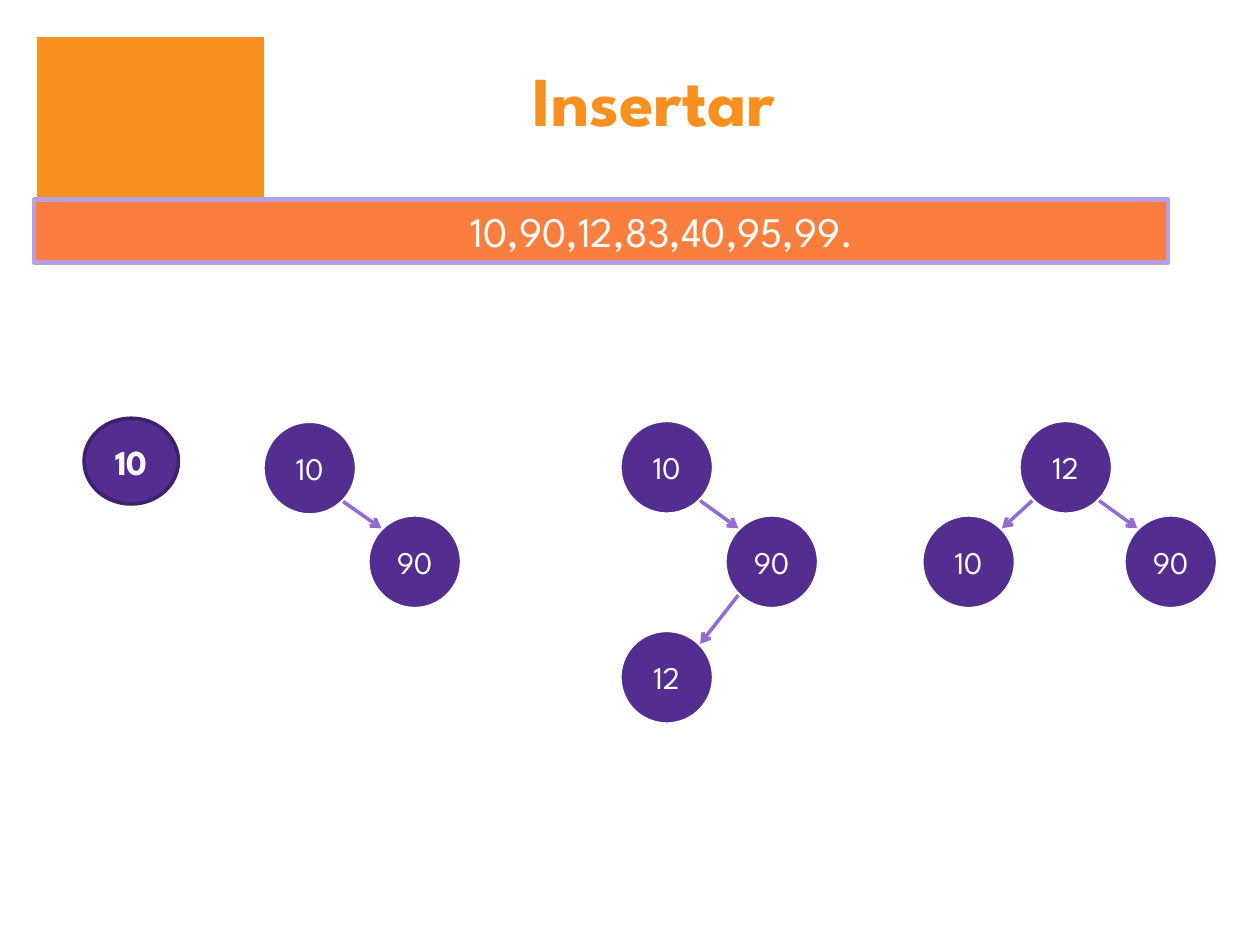
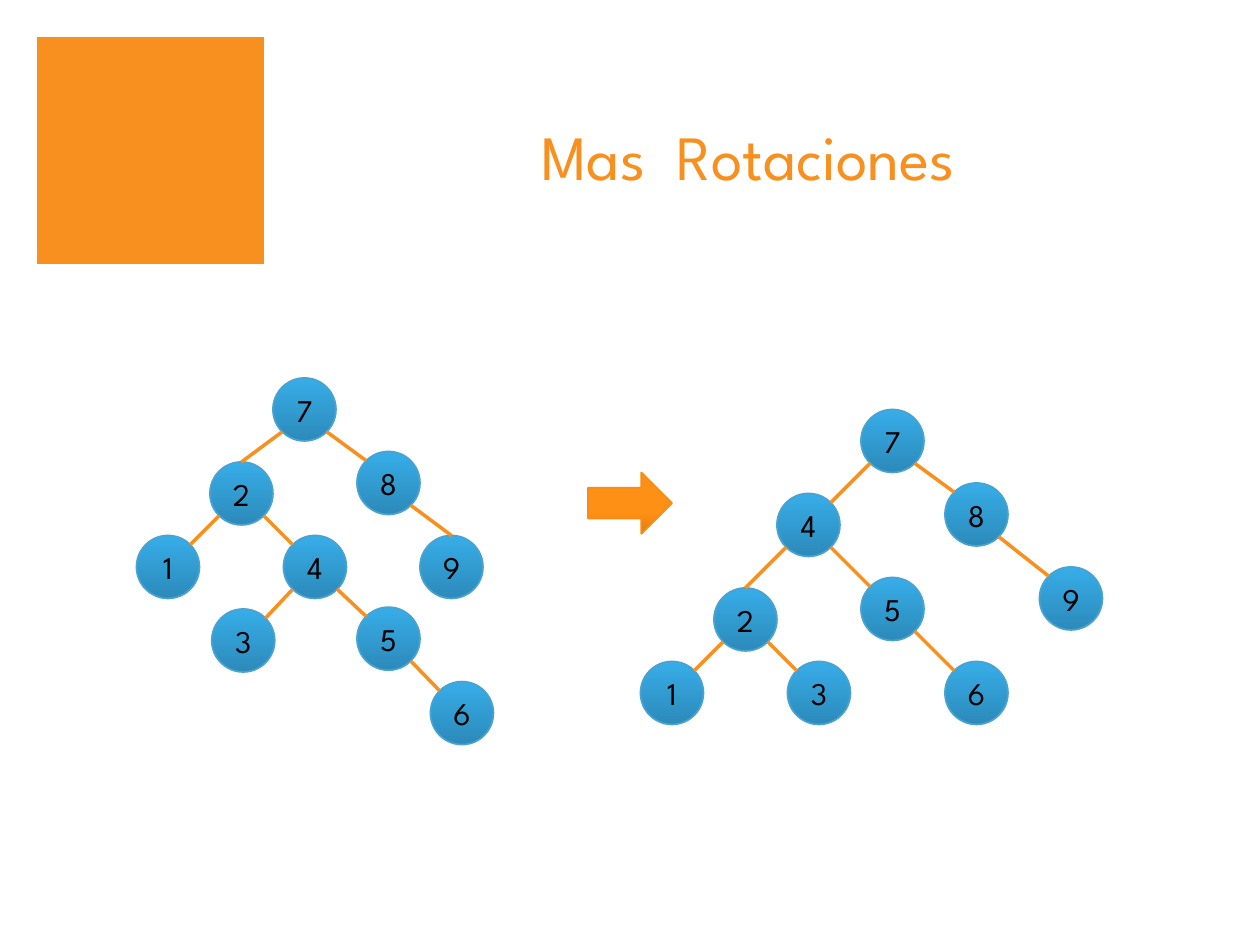
from dataclasses import dataclass

import lxml.etree
import pptx
import pptx.dml.color
import pptx.enum.shapes
import pptx.enum.text
import pptx.oxml.ns
import pptx.util

Pt = pptx.util.Pt
SHAPE = pptx.enum.shapes.MSO_SHAPE
ANCHOR = pptx.enum.text.MSO_ANCHOR


@dataclass(frozen=True)
class Theme:
    font: str = "League Spartan"
    orange: str = "F7901E"
    band: str = "FA7E3E"
    band_line: str = "B89DE0"
    purple: str = "542D90"
    dark_purple: str = "3E216B"
    lilac: str = "946CD1"
    blue: tuple = ((0, "2C8ABA"), (1, "37ADE8"))
    blue_line: str = "49A2D0"
    arrow: tuple = ((0, "E67C07"), (0.35, "FF9016"))
    arrow_line: str = "F78D18"
    white: str = "FFFFFF"
    black: str = "000000"
    bold_title_size: int = 40
    title_size: int = 36
    band_size: int = 24
    root_size: int = 20
    node_size: int = 18


@dataclass(frozen=True)
class NodeStyle:
    diameter: float
    fill: object
    line: str
    line_width: float
    text_color: str
    edge_color: str
    arrows: bool


THEME = Theme()
PURPLE_NODE = NodeStyle(54, THEME.purple, THEME.white, 2.5, THEME.white, THEME.lilac, True)
BLUE_NODE = NodeStyle(36, THEME.blue, THEME.blue_line, 1, THEME.black, THEME.orange, False)

# Trees: node positions (left, top), and edges from parent to child
INSERTION_TREES = [
    ({"10": (150, 240.5), "90": (210, 294)}, ["10-90"]),
    ({"10": (354, 240), "90": (414, 294), "12": (354, 360)}, ["10-90", "90-12"]),
    ({"12": (582, 240), "90": (642, 294), "10": (526.5, 294)}, ["12-90", "12-10"]),
]
ROTATION_TREES = [
    ({"7": (156, 216), "2": (120, 264), "8": (204, 258), "1": (78, 306), "4": (162, 306),
      "9": (240, 306), "3": (121, 348), "5": (204, 347), "6": (246, 389.5)},
     ["7-2", "7-8", "2-1", "2-4", "8-9", "4-3", "4-5", "5-6"]),
    ({"7": (492, 234), "4": (444, 282), "8": (540, 276), "2": (408, 336), "5": (492, 330),
      "9": (594, 324), "1": (366, 378), "3": (450, 378), "6": (540, 378)},
     ["7-4", "7-8", "4-2", "4-5", "8-9", "2-1", "2-3", "5-6"]),
]
# Edges that meet the child at its top, one set per rotation tree
TOP_EDGES = [{"7-2", "8-9"}, {"4-2"}]


def rgb(value):
    return pptx.dml.color.RGBColor.from_string(value)


def set_text(s, text, size, color, bold=False, anchor=ANCHOR.MIDDLE):
    tf = s.text_frame
    tf.text = text
    tf.word_wrap = True
    tf.vertical_anchor = anchor
    p = tf.paragraphs[0]
    p.alignment = pptx.enum.text.PP_ALIGN.CENTER
    r = p.runs[0]
    r.font.name, r.font.size, r.font.bold = THEME.font, Pt(size), bold
    r.font.color.rgb = rgb(color)


def add_box(slide, kind, box, fill, line=None, width=1):
    """Preset shape; a fill given as stops becomes a vertical gradient."""
    s = slide.shapes.add_shape(kind, *map(Pt, box))
    s.shadow.inherit = False
    if isinstance(fill, str):
        s.fill.solid()
        s.fill.fore_color.rgb = rgb(fill)
    else:
        s.fill.gradient()
        s.fill.gradient_angle = 90
        for stop, (position, color) in zip(s.fill.gradient_stops, fill):
            stop.position = position
            stop.color.rgb = rgb(color)
    if line:
        s.line.color.rgb = rgb(line)
        s.line.width = Pt(width)
    else:
        s.line.fill.background()
    return s


def add_node(slide, text, box, fill, line, width, size, color, bold=False):
    s = add_box(slide, SHAPE.OVAL, box, fill, line, width)
    set_text(s, text, size, color, bold)
    tf = s.text_frame
    tf.margin_left = tf.margin_right = tf.margin_top = tf.margin_bottom = 0


def add_edge(slide, start, end, color, arrow):
    c = slide.shapes.add_connector(
        pptx.enum.shapes.MSO_CONNECTOR.STRAIGHT, *map(Pt, start + end))
    c.line.color.rgb = rgb(color)
    c.line.width = Pt(2)
    qn = pptx.oxml.ns.qn
    properties = c._element.spPr
    if arrow:
        lxml.etree.SubElement(properties.find(qn("a:ln")), qn("a:tailEnd"), type="arrow")
    lxml.etree.SubElement(properties, qn("a:effectLst"))


def rim_point(corner, diameter, dx, dy):
    """Point on a node's rim in direction (dx, dy); diagonals lie at 45 degrees."""
    reach = diameter / 2 * (0.5 ** 0.5 if dx and dy else 1)
    return tuple(c + diameter / 2 + d * reach for c, d in zip(corner, (dx, dy)))


def add_tree(slide, nodes, edges, style, top_edges=()):
    d = style.diameter
    for text, corner in nodes.items():
        add_node(slide, text, (*corner, d, d), style.fill, style.line,
                 style.line_width, THEME.node_size, style.text_color)
    for edge in edges:
        parent, child = (nodes[name] for name in edge.split("-"))
        side = 1 if child[0] > parent[0] else -1
        start = rim_point(parent, d, side, 1)
        end = rim_point(child, d, 0 if edge in top_edges else -side, -1)
        add_edge(slide, start, end, style.edge_color, style.arrows)


def add_slide(prs, title, box, size, bold=False):
    """Blank slide with the shared orange square and title."""
    slide = prs.slides.add_slide(prs.slide_layouts[6])
    add_box(slide, SHAPE.RECTANGLE, (21.3, 21.2, 129.6, 129.6), THEME.orange)
    s = slide.shapes.add_textbox(*map(Pt, box))
    set_text(s, title, size, THEME.orange, bold, ANCHOR.BOTTOM)
    return slide


def build_insertion(prs):
    slide = add_slide(prs, "Insertar", (117, 30, 513, 54), THEME.bold_title_size, True)
    # Band with the keys to insert
    band = add_box(slide, SHAPE.RECTANGLE, (19.5, 114, 648, 36),
                   THEME.band, THEME.band_line, 2.5)
    set_text(band, "10,90,12,83,40,95,99.", THEME.band_size, THEME.white)
    band.text_frame.margin_left = Pt(77)
    # First key, then the growing trees
    add_node(slide, "10", (48, 239, 54, 49), THEME.purple, THEME.dark_purple, 2,
             THEME.root_size, THEME.white, True)
    for nodes, edges in INSERTION_TREES:
        add_tree(slide, nodes, edges, PURPLE_NODE)


def build_rotations(prs):
    slide = add_slide(prs, "Mas  Rotaciones", (171, 24, 513, 90), THEME.title_size)
    # Trees before and after the rotation
    for (nodes, edges), top_edges in zip(ROTATION_TREES, TOP_EDGES):
        add_tree(slide, nodes, edges, BLUE_NODE, top_edges)
    add_box(slide, SHAPE.RIGHT_ARROW, (336, 270, 48, 35), THEME.arrow, THEME.arrow_line)


def main():
    prs = pptx.Presentation()
    prs.slide_width, prs.slide_height = Pt(720), Pt(540)
    build_insertion(prs)
    build_rotations(prs)
    prs.save("out.pptx")


if __name__ == "__main__":
    main()
